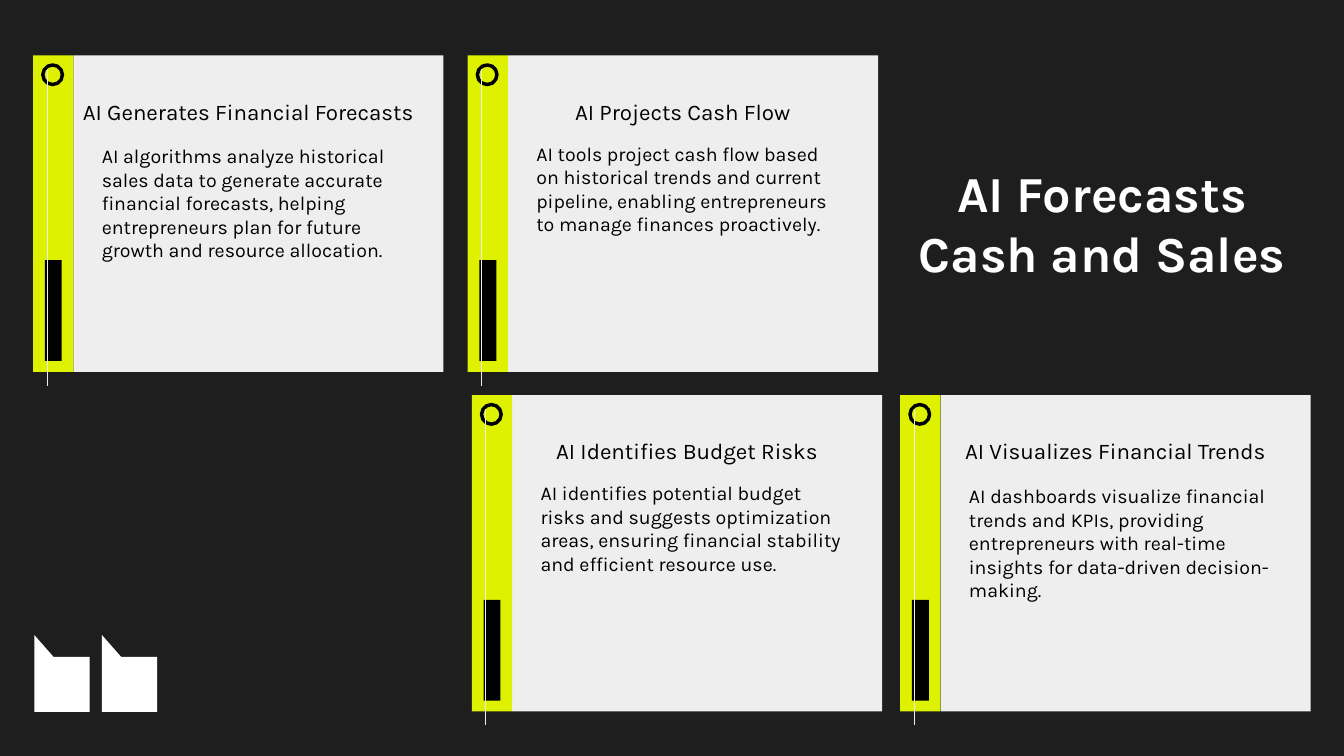
from pptx import Presentation
from pptx.dml.color import RGBColor
from pptx.enum import shapes, text
from pptx.oxml import ns, xmlchemy
from pptx.util import Pt

INK = RGBColor(0x1E, 0x1E, 0x1E)
PAPER = RGBColor(0xEE, 0xEE, 0xEE)
LIME = RGBColor(0xDD, 0xF1, 0x00)
WHITE = RGBColor(0xFF, 0xFF, 0xFF)
BLACK = RGBColor(0x00, 0x00, 0x00)

# Cards: left, top, body height, heading, body
CARDS = [
    (334, 39.6, 80.6, "AI Projects Cash Flow",
     "AI tools project cash flow based on historical trends and current "
     "pipeline, enabling entrepreneurs to manage finances proactively."),
    (23.6, 39.6, 101.5, "AI Generates Financial Forecasts",
     "AI algorithms analyze historical sales data to generate accurate financial "
     "forecasts, helping entrepreneurs plan for future growth and resource allocation."),
    (337, 282.2, 80.6, "AI Identifies Budget Risks",
     "AI identifies potential budget risks and suggests optimization areas, "
     "ensuring financial stability and efficient resource use."),
    (643, 282.2, 101.5, "AI Visualizes Financial Trends",
     "AI dashboards visualize financial trends and KPIs, providing entrepreneurs "
     "with real-time insights for data-driven decision-making."),
]


class SlideBuilder:
    font_name = "Karla"
    strip_width = 28.8
    panel_width = 264.4
    card_height = 226

    def __init__(self, deck):
        self.page = deck.slides.add_slide(deck.slide_layouts[5])
        background = self.page.background.fill
        background.solid()
        background.fore_color.rgb = INK

    def fill_text(self, box, words, align, color=BLACK, **style):
        frame = box.text_frame
        frame.text = words
        frame.word_wrap = True
        frame.auto_size = text.MSO_AUTO_SIZE.SHAPE_TO_FIT_TEXT
        frame.vertical_anchor = text.MSO_ANCHOR.MIDDLE
        para = frame.paragraphs[0]
        para.alignment = align
        span = para.runs[0]
        for name, value in {"name": self.font_name, **style}.items():
            setattr(span.font, name, value)
        span.font.color.rgb = color

    def title(self, words, left, top, width, height):
        box = self.page.shapes.title
        place = {"left": left, "top": top, "width": width, "height": height}
        for name, value in place.items():
            setattr(box, name, Pt(value))
        self.fill_text(box, words, text.PP_ALIGN.CENTER,
                       color=WHITE, size=Pt(36), bold=True)

    def label(self, words, left, top, width, height, size, align):
        box = self.page.shapes.add_textbox(Pt(left), Pt(top), Pt(width), Pt(height))
        self.fill_text(box, words, align, size=Pt(size))

    def paint(self, shape, color):
        shape.shadow.inherit = False
        shape.fill.solid()
        shape.fill.fore_color.rgb = color
        shape.line.fill.background()

    def block(self, left, top, width, height, color):
        shape = self.page.shapes.add_shape(
            shapes.MSO_SHAPE.RECTANGLE, Pt(left), Pt(top), Pt(width), Pt(height))
        self.paint(shape, color)

    def ring(self, left, top, size):
        shape = self.page.shapes.add_shape(
            shapes.MSO_SHAPE.OVAL, Pt(left), Pt(top), Pt(size), Pt(size))
        shape.shadow.inherit = False
        shape.fill.background()
        shape.line.color.rgb = BLACK
        shape.line.width = Pt(2.47)

    def hairline(self, left, top, height):
        line = self.page.shapes.add_connector(
            shapes.MSO_CONNECTOR.STRAIGHT, Pt(left), Pt(top), Pt(left), Pt(top + height))
        line.line.color.rgb = PAPER
        line.line.width = Pt(0.1)
        effects = xmlchemy.OxmlElement("a:effectLst")
        line._element.find(ns.qn("p:spPr")).append(effects)

    def quote_mark(self, left, top):
        outline = [(0, 0), (0, 55), (39.5, 55), (39.5, 15.6), (13.7, 15.6)]
        points = [(Pt(left + x), Pt(top + y)) for x, y in outline]
        builder = self.page.shapes.build_freeform(*points[0])
        builder.add_line_segments(points[1:], close=True)
        self.paint(builder.convert_to_shape(), WHITE)

    def card(self, left, top, body_height, heading, body):
        # Panel and strip
        self.block(left + self.strip_width, top, self.panel_width, self.card_height, PAPER)
        self.block(left, top, self.strip_width, self.card_height, LIME)
        # Strip ornaments
        self.ring(left + 7, top + 6.8, 14)
        self.block(left + 8.4, top + 146.3, 12.1, 72, BLACK)
        self.hairline(left + 9.8, top + 10, self.card_height)
        # Text
        self.label(heading, left + 20.2, top + 30.2, 267, 19.4, 16, text.PP_ALIGN.CENTER)
        self.label(body, left + 42, top + 54.7, 231.8, body_height, 14, text.PP_ALIGN.LEFT)


def main():
    deck = Presentation()
    deck.slide_width, deck.slide_height = Pt(960), Pt(540)
    slide = SlideBuilder(deck)
    slide.title("AI Forecasts Cash and Sales", 644.4, 113, 285.8, 91.4)
    for card in CARDS:
        slide.card(*card)
    # Quotation marks
    for index in range(2):
        slide.quote_mark(24.5 + 48.3 * index, 453.6)
    deck.save("out.pptx")


if __name__ == "__main__":
    main()
